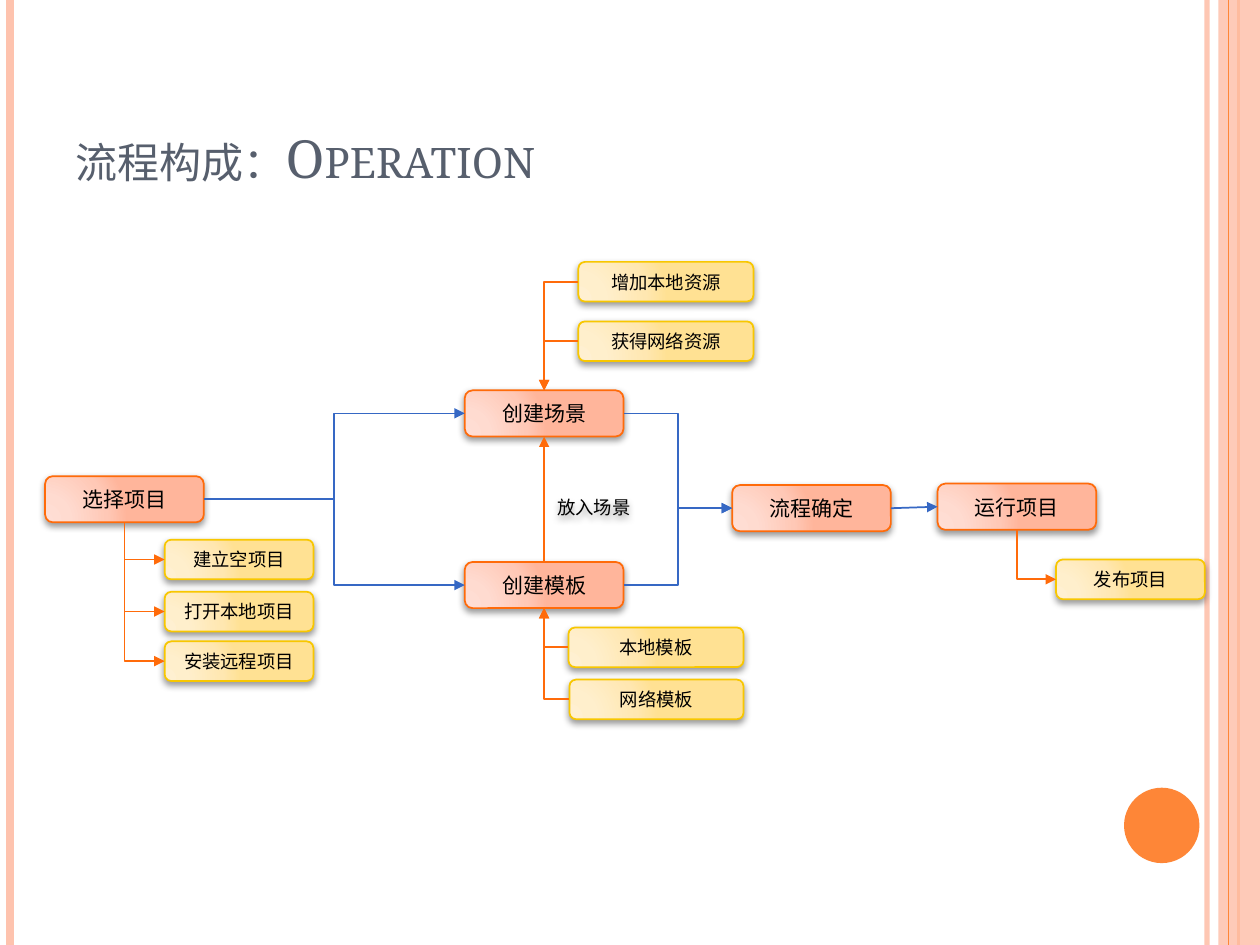
from dataclasses import dataclass
from typing import Any, Optional

from lxml.etree import SubElement
from pptx import Presentation
from pptx.dml.color import RGBColor
from pptx.enum.shapes import MSO_CONNECTOR, MSO_SHAPE
from pptx.enum.text import MSO_ANCHOR, PP_ALIGN
from pptx.oxml import parse_xml
from pptx.oxml.ns import nsdecls, qn
from pptx.util import Cm, Pt

FONT = "Noto Serif"
ORANGE, BLUE, PEACH, AMBER = "FF6B0A", "3668C4", "FEC3AE", "FE8637"
TOP, LEFT, BOTTOM, RIGHT = range(4)


@dataclass(frozen=True)
class Style:
    """Look of one kind of box."""
    size: float
    high: float
    edge: Optional[str] = None
    stops: tuple[str, ...] = ()


@dataclass(frozen=True)
class Box:
    """A labelled step; lengths in centimetres."""
    key: str
    text: str
    left: float
    top: float
    wide: float
    style: Style


@dataclass(frozen=True)
class Link:
    """A connector between sides of two boxes."""
    start: str
    side: int
    end: str
    goal: int
    color: str
    kind: str
    arrow: str = "tailEnd"


@dataclass(frozen=True)
class Rule:
    """A full-height line at the slide edge."""
    left: float
    width: float
    color: str
    alpha: int = 100


MAIN = Style(12, 0.93, ORANGE, ("FFDED5", "FFDBD0", "FFC8B6", "FFB59B"))
SUB = Style(10.5, 0.8, "F8C700", ("FFF0D1", "FFEFCC", "FFE7B1", "FFE193"))
NOTE = Style(10.5, 0.8)

BOXES = [
    Box("pick", "选择项目", 0.91, 9.6, 3.2, MAIN),
    Box("scene", "创建场景", 9.37, 7.87, 3.2, MAIN),
    Box("model", "创建模板", 9.37, 11.33, 3.2, MAIN),
    Box("flow", "流程确定", 14.76, 9.78, 3.2, MAIN),
    Box("run", "运行项目", 18.9, 9.75, 3.2, MAIN),
    Box("blank", "建立空项目", 3.32, 10.88, 3, SUB),
    Box("open", "打开本地项目", 3.32, 11.93, 3, SUB),
    Box("setup", "安装远程项目", 3.32, 12.93, 3, SUB),
    Box("add", "增加本地资源", 11.66, 5.28, 3.53, SUB),
    Box("fetch", "获得网络资源", 11.66, 6.48, 3.53, SUB),
    Box("local", "本地模板", 11.46, 12.65, 3.53, SUB),
    Box("web", "网络模板", 11.48, 13.7, 3.51, SUB),
    Box("issue", "发布项目", 21.29, 11.28, 3, SUB),
    Box("put", "放入场景", 10.72, 9.83, 2.51, NOTE),
]

LINE, CORNER, STEP = "line", "bentConnector2", "bentConnector3"
LINKS = [
    *(Link(sub, LEFT, "pick", BOTTOM, ORANGE, CORNER, "headEnd")
      for sub in ("blank", "open", "setup")),
    *(Link(sub, LEFT, "scene", TOP, ORANGE, CORNER) for sub in ("add", "fetch")),
    *(Link(sub, LEFT, "model", BOTTOM, ORANGE, CORNER) for sub in ("local", "web")),
    Link("issue", LEFT, "run", BOTTOM, ORANGE, CORNER, "headEnd"),
    *(Link("pick", RIGHT, goal, LEFT, BLUE, STEP) for goal in ("scene", "model")),
    *(Link(goal, RIGHT, "flow", LEFT, BLUE, STEP) for goal in ("scene", "model")),
    Link("model", TOP, "scene", BOTTOM, ORANGE, LINE),
    Link("flow", RIGHT, "run", LEFT, BLUE, LINE),
]


def rgb(code: str) -> RGBColor:
    """Turn a hex string into a colour."""
    return RGBColor.from_string(code)


def put(item: Any, values: dict[str, Any]) -> None:
    """Set each named attribute."""
    for name, value in values.items():
        setattr(item, name, value)


def fade(parent: Any, alpha: int) -> None:
    """Make the solid colour below parent partly clear."""
    for color in parent.iter(qn("a:srgbClr")):
        SubElement(color, qn("a:alpha"), val=str(alpha * 1000))


def blend(shape: Any, stops: tuple[str, ...]) -> None:
    """Fill a shape with a round gradient."""
    marks = "".join(
        f'<a:gs pos="{pos}000"><a:srgbClr val="{code}"/></a:gs>'
        for pos, code in zip((0, 30, 75, 100), stops))
    grad = parse_xml(
        f'<a:gradFill {nsdecls("a")}><a:gsLst>{marks}</a:gsLst><a:path path="circle">'
        '<a:fillToRect l="5000" t="100000" r="120000" b="10000"/></a:path></a:gradFill>')
    props = shape._element.spPr
    props.replace(props.find(qn("a:noFill")), grad)


def shade(shape: Any) -> None:
    """Give a shape a soft shadow below."""
    shape.shadow.inherit = False
    cast = SubElement(
        shape._element.spPr.find(qn("a:effectLst")), qn("a:outerShdw"),
        blurRad=str(Pt(4)), dist=str(Pt(2)), dir="5400000", rotWithShape="0")
    SubElement(cast, qn("a:srgbClr"), val="000000")
    fade(cast, 40)


def draw_box(slide: Any, box: Box) -> Any:
    """Draw one step and return its shape."""
    look = box.style
    shape = slide.shapes.add_shape(
        MSO_SHAPE.ROUNDED_RECTANGLE, Cm(box.left), Cm(box.top), Cm(box.wide), Cm(look.high))
    shape.fill.background()
    if look.edge:
        blend(shape, look.stops)
        shape.line.color.rgb = rgb(look.edge)
        shape.line.width = Pt(1)
    else:
        shape.line.fill.background()
    shade(shape)
    put(shape.text_frame, {"text": box.text, "word_wrap": True,
                           "vertical_anchor": MSO_ANCHOR.MIDDLE})
    para = shape.text_frame.paragraphs[0]
    para.alignment = PP_ALIGN.CENTER
    put(para.runs[0].font, {"name": FONT, "size": Pt(look.size)})
    para.runs[0].font.color.rgb = rgb("000000")
    return shape


def stroke(wire: Any, color: str, width: float) -> Any:
    """Style a connector and return its line element."""
    wire.line.color.rgb = rgb(color)
    wire.line.width = Pt(width)
    SubElement(wire._element.spPr, qn("a:effectLst"))
    return wire._element.spPr.find(qn("a:ln"))


def draw_link(slide: Any, link: Link, shapes: dict[str, Any]) -> None:
    """Join two boxes with an arrow."""
    kind = MSO_CONNECTOR.STRAIGHT if link.kind == LINE else MSO_CONNECTOR.ELBOW
    wire = slide.shapes.add_connector(kind, 0, 0, 0, 0)
    wire.begin_connect(shapes[link.start], link.side)
    wire.end_connect(shapes[link.end], link.goal)
    wire._element.spPr.find(qn("a:prstGeom")).set("prst", link.kind)
    SubElement(stroke(wire, link.color, 1), qn(f"a:{link.arrow}"), type="triangle")


def draw_rule(slide: Any, rule: Rule) -> None:
    """Draw one edge line."""
    wire = slide.shapes.add_connector(
        MSO_CONNECTOR.STRAIGHT, Cm(rule.left), 0, Cm(rule.left), Cm(19.05))
    fade(stroke(wire, rule.color, rule.width), rule.alpha)


def draw_flat(slide: Any, kind: Any, area: tuple[float, ...], color: str, alpha: int) -> None:
    """Draw a plain shape without outline."""
    shape = slide.shapes.add_shape(kind, *map(Cm, area))
    shape.shadow.inherit = False
    shape.fill.solid()
    shape.fill.fore_color.rgb = rgb(color)
    shape.line.fill.background()
    fade(shape._element.spPr, alpha)


def draw_title(slide: Any) -> None:
    """Place and format the title."""
    title = slide.shapes.title
    put(title, {"left": Cm(1.27), "top": Cm(0.76), "width": Cm(20.75), "height": Cm(3.18)})
    put(title.text_frame, {"text": "流程构成：Operation", "word_wrap": True,
                           "vertical_anchor": MSO_ANCHOR.BOTTOM})
    para = title.text_frame.paragraphs[0]
    para.alignment = PP_ALIGN.LEFT
    font = para.runs[0].font
    put(font, {"name": FONT, "size": Pt(30)})
    font.color.rgb = rgb("575F6D")
    para.runs[0]._r.get_or_add_rPr().set("cap", "small")


def main() -> None:
    """Build and save the slide."""
    deck = Presentation()
    put(deck, {"slide_width": Cm(25.4), "slide_height": Cm(19.05)})
    slide = deck.slides.add_slide(deck.slide_layouts[5])
    for rule in (Rule(24.33, 3, PEACH, 93), Rule(0.2, 4.5, PEACH), Rule(24.97, 1.5, AMBER)):
        draw_rule(slide, rule)
    draw_flat(slide, MSO_SHAPE.RECTANGLE, (24.56, 0, 0.84, 19.05), PEACH, 87)
    draw_rule(slide, Rule(24.77, 0.75, AMBER))
    draw_flat(slide, MSO_SHAPE.OVAL, (22.66, 15.88, 1.52, 1.52), AMBER, 100)
    draw_title(slide)
    shapes = {box.key: draw_box(slide, box) for box in BOXES}
    for link in LINKS:
        draw_link(slide, link, shapes)
    deck.save("out.pptx")


main()
